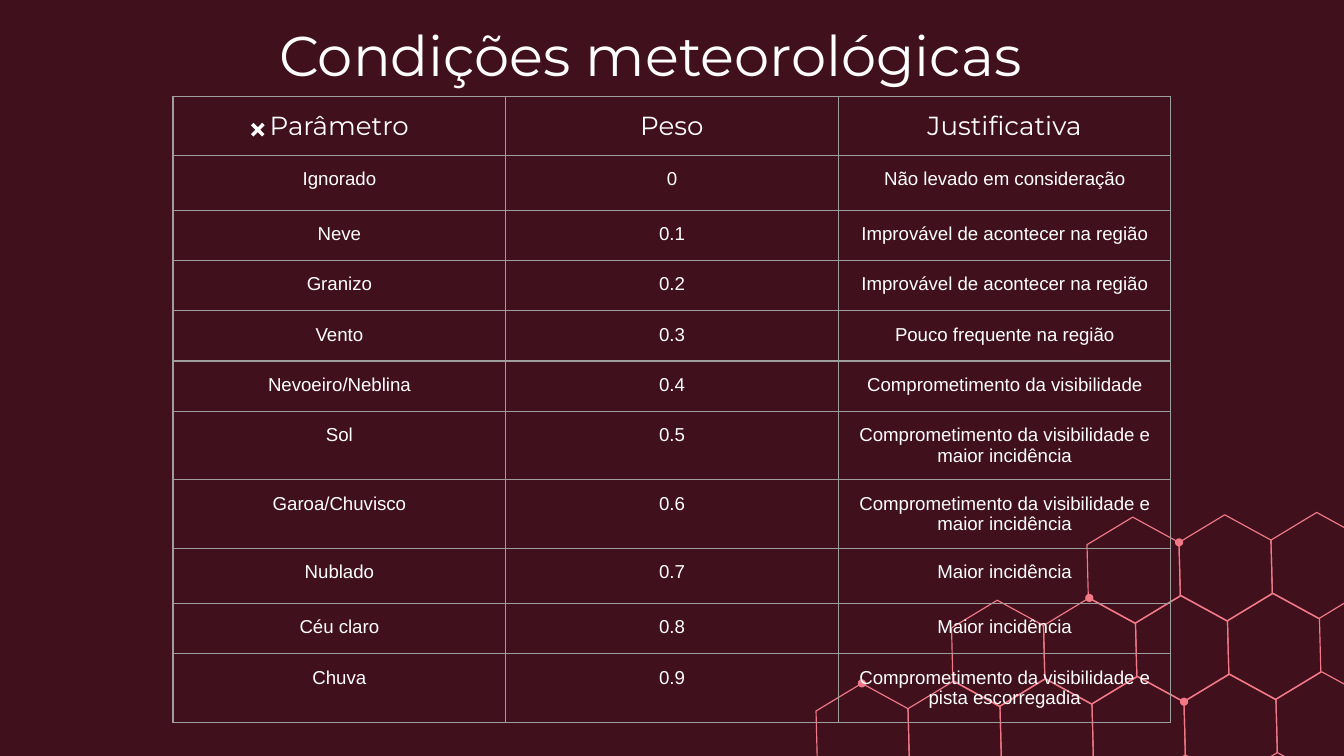
from dataclasses import dataclass

from lxml.etree import SubElement
from pptx import Presentation
from pptx.dml.color import RGBColor
from pptx.enum.shapes import MSO_CONNECTOR as Connector, MSO_SHAPE as Shape
from pptx.enum.text import MSO_ANCHOR as Anchor, MSO_AUTO_SIZE as AutoSize, PP_ALIGN as Align
from pptx.oxml.ns import qn
from pptx.util import Pt


@dataclass(frozen=True)
class Theme:
    background: str = "40101C"
    text: str = "FFFFFF"
    accent: str = "F07887"
    border: str = "9E9E9E"
    heading_font: str = "Montserrat"
    body_font: str = "Arial"
    title_size: float = 30
    header_size: float = 14
    body_size: float = 10


THEME = Theme()
INSET = 7.2

HEADER = ("Parâmetro", "Peso", "Justificativa")
CONDITIONS = [
    ("Ignorado", "0", "Não levado em consideração"),
    ("Neve", "0.1", "Improvável de acontecer na região"),
    ("Granizo", "0.2", "Improvável de acontecer na região"),
    ("Vento", "0.3", "Pouco frequente na região"),
    ("Nevoeiro/Neblina", "0.4", "Comprometimento da visibilidade"),
    ("Sol", "0.5", "Comprometimento da visibilidade e maior incidência"),
    ("Garoa/Chuvisco", "0.6", "Comprometimento da visibilidade e maior incidência"),
    ("Nublado", "0.7", "Maior incidência"),
    ("Céu claro", "0.8", "Maior incidência"),
    ("Chuva", "0.9", "Comprometimento da visibilidade e pista escorregadia"),
]
TALL_ROWS = (0, 1, 8)

HONEYCOMB_ORIGIN = (437.2, 380.9)
COLUMN_STEP = (49.28, -1.24)
ROW_STEP = (23.3, -43.3)
HEXAGON = [(0, 0), (0.72, 28.5), (25.6, 42.1), (50, 27.3), (49.28, -1.24), (24.5, -14.8)]
HEXAGONS_PER_ROW = (6, 4, 3)
DOTS = [(0, 0, 5), (1, 2, 5), (2, 3, 0), (0, 4, 0)]
DOT_SIZE = 4.4


def apply(target, values):
    for name, value in values.items():
        setattr(target, name, value)


def color(value):
    return RGBColor.from_string(value)


def write(text_frame, text, font, size):
    paragraph = text_frame.paragraphs[0]
    paragraph.alignment = Align.CENTER
    run = paragraph.add_run()
    run.text = text
    apply(run.font, {"name": font, "size": Pt(size), "bold": False})
    run.font.color.rgb = color(THEME.text)


def set_line(shape, value, width):
    shape.line.color.rgb = color(value)
    shape.line.width = Pt(width)


def corners(row, column):
    x, y = (
        start + column * across + row * up
        for start, across, up in zip(HONEYCOMB_ORIGIN, COLUMN_STEP, ROW_STEP)
    )
    return [(Pt(x + dx), Pt(y + dy)) for dx, dy in HEXAGON]


def add_hexagon(slide, row, column):
    first, *others = corners(row, column)
    builder = slide.shapes.build_freeform(*first)
    builder.add_line_segments(others, close=True)
    hexagon = builder.convert_to_shape()
    hexagon.shadow.inherit = False
    hexagon.fill.background()
    set_line(hexagon, THEME.accent, 0.61)


def add_dot(slide, row, column, corner):
    x, y = corners(row, column)[corner]
    size = Pt(DOT_SIZE)
    dot = slide.shapes.add_shape(Shape.OVAL, x - size // 2, y - size // 2, size, size)
    dot.shadow.inherit = False
    dot.fill.solid()
    dot.fill.fore_color.rgb = color(THEME.accent)
    dot.line.fill.background()


def add_honeycomb(slide):
    for row, count in enumerate(HEXAGONS_PER_ROW):
        for column in reversed(range(row, row + count)):
            add_hexagon(slide, row, column)
    for dot in DOTS:
        add_dot(slide, *dot)


def add_title(slide, text):
    title = slide.shapes.title
    apply(title, {"left": Pt(49), "top": Pt(3.6), "width": Pt(607), "height": Pt(39.6)})
    frame = title.text_frame
    apply(frame, {"word_wrap": True, "auto_size": AutoSize.NONE, "vertical_anchor": Anchor.TOP})
    apply(frame, {f"margin_{side}": Pt(INSET) for side in ("left", "top", "right", "bottom")})
    write(frame, text, THEME.heading_font, THEME.title_size)


def add_cross(slide, left, top, size):
    right, bottom = left + size, top + size
    for start_y, end_y in ((bottom, top), (top, bottom)):
        stroke = slide.shapes.add_connector(
            Connector.STRAIGHT, Pt(left), Pt(start_y), Pt(right), Pt(end_y)
        )
        set_line(stroke, THEME.text, 1.84)
        SubElement(stroke._element.spPr, qn("a:effectLst"))


def set_borders(cell):
    properties = cell._tc.get_or_add_tcPr()
    for side in ("lnL", "lnR", "lnT", "lnB"):
        line = SubElement(properties, qn(f"a:{side}"), w=str(Pt(0.75)))
        fill = SubElement(line, qn("a:solidFill"))
        SubElement(fill, qn("a:srgbClr"), val=THEME.border)


def format_cell(cell, text, font, size):
    set_borders(cell)
    cell.fill.background()
    apply(cell, {f"margin_{side}": Pt(INSET) for side in ("left", "top", "right", "bottom")})
    cell.vertical_anchor = Anchor.TOP
    write(cell.text_frame, text, font, size)


def add_conditions_table(slide):
    rows = [HEADER, *CONDITIONS]
    heights = [29.6 if index in TALL_ROWS else 26.9 for index in range(len(rows))]
    frame = slide.shapes.add_table(
        len(rows), len(HEADER), Pt(92.7), Pt(51.7), Pt(534.6), Pt(sum(heights))
    )
    table = frame.table
    apply(table, {"first_row": False, "horz_banding": False})
    for row_index, values in enumerate(rows):
        table.rows[row_index].height = Pt(heights[row_index])
        if row_index == 0:
            style = (THEME.heading_font, THEME.header_size)
        else:
            style = (THEME.body_font, THEME.body_size)
        for column_index, text in enumerate(values):
            format_cell(table.cell(row_index, column_index), text, *style)


def main():
    presentation = Presentation()
    apply(presentation, {"slide_width": Pt(720), "slide_height": Pt(405)})
    slide = presentation.slides.add_slide(presentation.slide_layouts[5])
    slide.background.fill.solid()
    slide.background.fill.fore_color.rgb = color(THEME.background)
    add_honeycomb(slide)
    add_title(slide, "Condições meteorológicas ")
    add_cross(slide, 135.1, 66.5, 6)
    add_conditions_table(slide)
    presentation.save("out.pptx")


if __name__ == "__main__":
    main()
